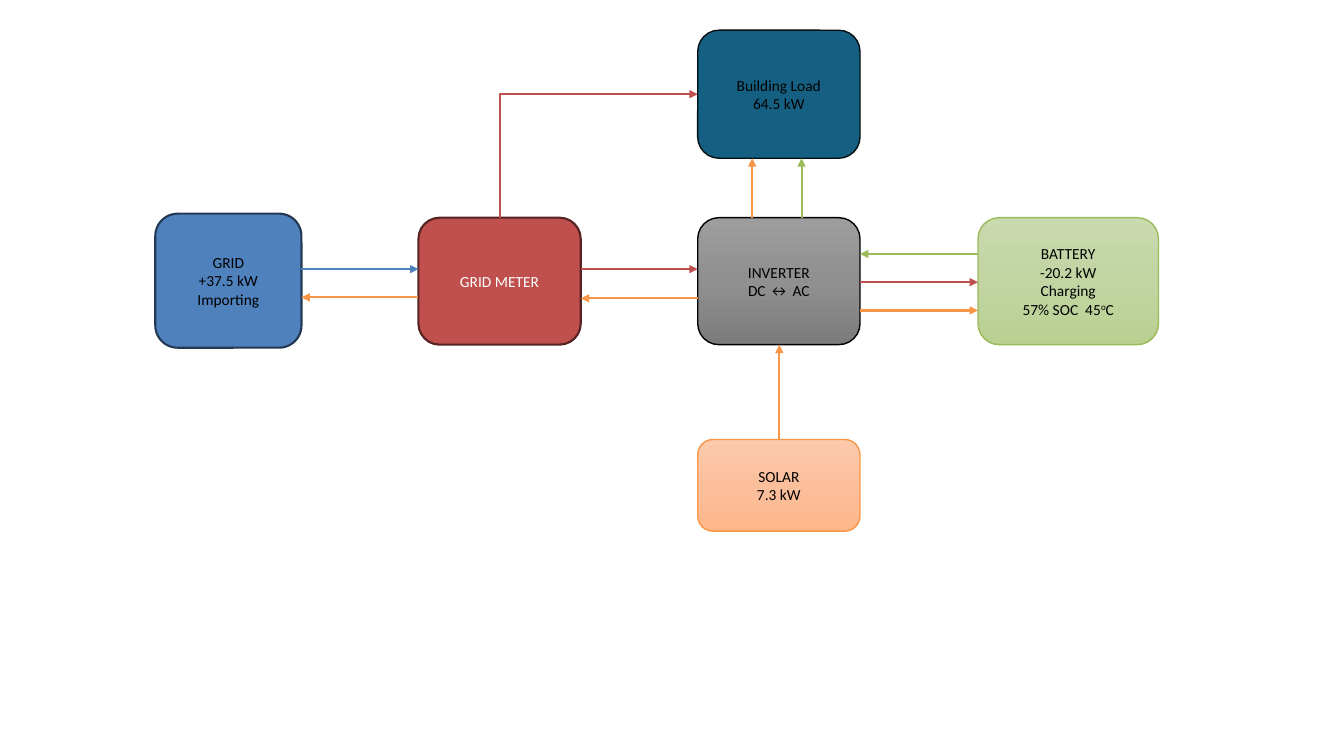
from copy import deepcopy
from lxml import etree
from pptx import Presentation
from pptx.dml.color import RGBColor
from pptx.enum.shapes import MSO_CONNECTOR, MSO_SHAPE
from pptx.enum.text import MSO_ANCHOR, PP_ALIGN
from pptx.oxml.ns import qn
from pptx.util import Inches, Pt

ROUNDED = MSO_SHAPE.ROUNDED_RECTANGLE
STRAIGHT, ELBOW = MSO_CONNECTOR.STRAIGHT, MSO_CONNECTOR.ELBOW
MIDDLE, CENTER = MSO_ANCHOR.MIDDLE, PP_ALIGN.CENTER

COLORS = {
    "black": "000000", "white": "FFFFFF",
    "load": "156082", "load_line": "030E13",
    "grid": "4F81BD", "grid_line": "233953",
    "meter": "C0504D", "meter_line": "542322",
    "solar": "F79646", "battery": "9BBB59",
}
GRADIENTS = {
    "inverter": ("9D9D9D", "909090", "7C7C7C"),
    "solar": ("FDCAAC", "FBBF9C", "FFB68A"),
    "battery": ("CADAAF", "C1D4A2", "B9D091"),
}
# Boxes: left, top, width, height in inches
BOXES = {
    "load": (6.92, 0.3, 1.61, 1.27),
    "grid": (1.54, 2.12, 1.45, 1.33),
    "meter": (4.15, 2.16, 1.61, 1.26),
    "inverter": (6.92, 2.16, 1.61, 1.26),
    "battery": (9.7, 2.16, 1.79, 1.26),
    "solar": (6.92, 4.36, 1.61, 0.91),
}


def rgb(name):
    return RGBColor.from_string(COLORS[name])


def write(tf, lines, size=11, color="black", font="Calibri"):
    """Write one paragraph per line; text between ^ marks is superscript."""
    tf.word_wrap = True
    tf.vertical_anchor = MIDDLE
    for i, line in enumerate(lines):
        p = tf.paragraphs[0] if i == 0 else tf.add_paragraph()
        p.alignment = CENTER
        for j, piece in enumerate(line.split("^")):
            r = p.add_run()
            r.text = piece
            r.font.size, r.font.name = Pt(size), font
            r.font.color.rgb = rgb(color)
            if j % 2:
                r.font._element.set("baseline", "30000")


def fill_gradient(sp, shades):
    sp.fill.gradient()
    sp.fill.gradient_angle = 270
    stops = sp._element.spPr.find(qn("a:gradFill")).find(qn("a:gsLst"))
    stops.insert(1, deepcopy(stops[0]))
    for i, (stop, shade) in enumerate(zip(sp.fill.gradient_stops, shades)):
        stop.position = i / 2
        stop.color.rgb = RGBColor.from_string(shade)


def add_node(slide, name, lines, line_color, line_width=1, text_color="black"):
    sp = slide.shapes.add_shape(ROUNDED, *map(Inches, BOXES[name]))
    sp.shadow.inherit = False
    if name in GRADIENTS:
        fill_gradient(sp, GRADIENTS[name])
    else:
        sp.fill.solid()
        sp.fill.fore_color.rgb = rgb(name)
    sp.line.color.rgb = rgb(line_color)
    sp.line.width = Pt(line_width)
    write(sp.text_frame, lines, color=text_color)


def add_flow(slide, start, end, color, kind=STRAIGHT):
    cx = slide.shapes.add_connector(kind, *map(Inches, start + end))
    cx.line.color.rgb = rgb(color)
    cx.line.width = Pt(1.5)
    etree.SubElement(cx.line._get_or_add_ln(), qn("a:tailEnd"), type="triangle")
    etree.SubElement(cx._element.spPr, qn("a:effectLst"))
    return cx


def add_row_flow(slide, source, target, y, color):
    """Horizontal arrow between the facing sides of two boxes."""
    a, b = BOXES[source], BOXES[target]
    if a[0] < b[0]:
        x1, x2 = a[0] + a[2], b[0]
    else:
        x1, x2 = a[0], b[0] + b[2]
    add_flow(slide, (x1, y), (x2, y), color)


def add_rising_flow(slide, source, target, dx, color):
    """Vertical arrow, dx from the source's left side, up to the target."""
    a, b = BOXES[source], BOXES[target]
    add_flow(slide, (a[0] + dx, a[1]), (a[0] + dx, b[1] + b[3]), color)


def add_corner_flow(slide, source, target, color):
    """Arrow up from the source's top, then right to the target's left side."""
    a, b = BOXES[source], BOXES[target]
    x1, y1 = a[0] + a[2] / 2, a[1]
    x2, y2 = b[0], b[1] + b[3] / 2
    cx = add_flow(slide, (x1, y1), (x2, y2), color, ELBOW)
    # The one-corner connector is turned a quarter, so its sides swap
    w, h = y1 - y2, x2 - x1
    cx.left, cx.top = Inches((x1 + x2 - w) / 2), Inches((y1 + y2 - h) / 2)
    cx.width, cx.height = Inches(w), Inches(h)
    spPr = cx._element.spPr
    spPr.find(qn("a:prstGeom")).set("prst", "bentConnector2")
    for key, value in (("rot", "5400000"), ("flipH", "1"), ("flipV", "1")):
        spPr.find(qn("a:xfrm")).set(key, value)


def build_energy_flow(slide):
    # Nodes
    add_node(slide, "load", ["Building Load", "64.5 kW"], "load_line")
    add_node(slide, "grid", ["GRID", "+37.5 kW", "Importing"], "grid_line", 1.5)
    add_node(slide, "inverter", ["INVERTER", "DC ↔ AC"], "black")
    add_node(slide, "solar", ["SOLAR", "7.3 kW"], "solar")
    add_node(slide, "battery",
             ["BATTERY", "-20.2 kW", "Charging", "57% SOC  45^o^C"], "battery")
    add_node(slide, "meter", ["GRID METER"], "meter_line", 1.5, "white")

    # Flows along the middle row
    for source, target, y, color in (
        ("grid", "meter", 2.67, "grid"),
        ("meter", "grid", 2.95, "solar"),
        ("meter", "inverter", 2.67, "meter"),
        ("inverter", "meter", 2.96, "solar"),
        ("battery", "inverter", 2.52, "battery"),
        ("inverter", "battery", 2.8, "meter"),
        ("inverter", "battery", 3.08, "solar"),
    ):
        add_row_flow(slide, source, target, y, color)

    # Flows upwards
    add_rising_flow(slide, "solar", "inverter", 0.81, "solar")
    add_rising_flow(slide, "inverter", "load", 0.54, "solar")
    add_rising_flow(slide, "inverter", "load", 1.03, "battery")
    add_corner_flow(slide, "meter", "load", "meter")


def main():
    prs = Presentation()
    prs.slide_width, prs.slide_height = Inches(13.33), Inches(7.5)
    slide = prs.slides.add_slide(prs.slide_layouts[6])
    build_energy_flow(slide)
    prs.save("out.pptx")


if __name__ == "__main__":
    main()
